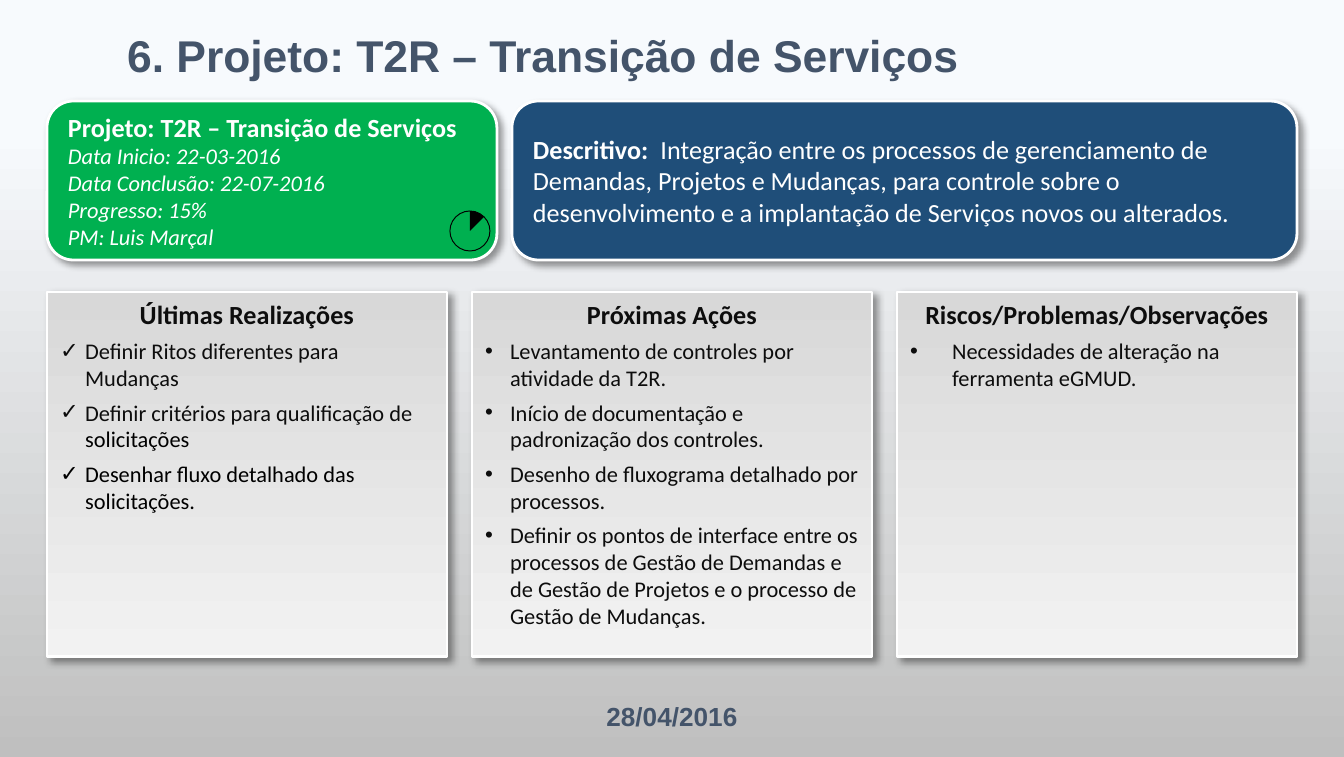
from lxml.etree import SubElement
from pptx import Presentation
from pptx.dml.color import RGBColor
from pptx.enum.shapes import MSO_SHAPE as Preset
from pptx.enum.text import MSO_ANCHOR as Anchor, MSO_AUTO_SIZE as AutoSize, PP_ALIGN as Align
from pptx.oxml.ns import qn
from pptx.util import Emu, Pt

EMU_PER_PX = 914400 / 134.4
WHITE, BLACK, INK, SLATE = "FFFFFF", "000000", "0D0D0D", "44546A"
GREEN, NAVY = "00B050", "1F4E79"

PANELS = [
    ("Últimas Realizações", "✓", 25, [
        [("Definir Ritos diferentes para Mudanças", INK)],
        [("Definir critérios para qualificação de ", INK), ("solicitações", BLACK)],
        [("Desenhar fluxo detalhado das solicitações.", BLACK)],
    ]),
    ("Próximas Ações", "•", 25, [
        [("Levantamento de controles por atividade da T2R.", INK)],
        [("Início de documentação e padronização dos controles.", INK)],
        [("Desenho de fluxograma detalhado por processos.", INK)],
        [("Definir os pontos de interface entre os processos de Gestão de Demandas "
          "e de Gestão de Projetos e o processo de Gestão de Mudanças.", INK)],
    ]),
    ("Riscos/Problemas/Observações", "•", 42, [
        [("Necessidades de alteração na ferramenta eGMUD.", INK)],
    ]),
]


def px(length):
    return Emu(round(length * EMU_PER_PX))


def color(hex_text):
    return RGBColor.from_string(hex_text)


def write(paragraph, text, size=12, font="Calibri", ink=WHITE, bold=False, italic=False):
    run = paragraph.add_run()
    run.text = text
    run.font.size = Pt(size)
    run.font.name = font
    run.font.color.rgb = color(ink)
    run.font.bold = bold
    run.font.italic = italic


def fill_gradient(fill, *stops):
    fill.gradient()
    fill.gradient_angle = 270
    for stop, (position, shade) in zip(fill.gradient_stops, stops):
        stop.position = position
        stop.color.rgb = color(shade)


def add_preset(slide, preset, box, line=None, width=1.5):
    shape = slide.shapes.add_shape(preset, *map(px, box))
    shape.shadow.inherit = False
    if line:
        shape.line.color.rgb = color(line)
        shape.line.width = Pt(width)
    else:
        shape.line.fill.background()
    return shape


def cast_shadow(shape):
    effects = shape._element.spPr.find(qn("a:effectLst"))
    shadow = SubElement(effects, qn("a:outerShdw"), blurRad=str(Pt(4)), dist=str(Pt(3)),
                        dir="2700000", algn="tl", rotWithShape="0")
    black = SubElement(shadow, qn("a:srgbClr"), val=BLACK)
    SubElement(black, qn("a:alpha"), val="40000")


def add_card(slide, box, fill):
    card = add_preset(slide, Preset.ROUNDED_RECTANGLE, box, WHITE)
    card.fill.solid()
    card.fill.fore_color.rgb = color(fill)
    cast_shadow(card)
    frame = card.text_frame
    frame.word_wrap = True
    frame.vertical_anchor = Anchor.MIDDLE
    frame.paragraphs[0].alignment = Align.LEFT
    return frame


def set_bullet(paragraph, mark, indent):
    properties = paragraph._p.get_or_add_pPr()
    properties.set("marL", str(px(indent)))
    properties.set("indent", str(-px(indent)))
    SubElement(properties, qn("a:buFont"), typeface="Arial")
    SubElement(properties, qn("a:buChar"), char=mark)
    paragraph.font.size = Pt(12)


def add_panel(slide, box, heading, mark, indent, items):
    panel = add_preset(slide, Preset.RECTANGLE, box, WHITE)
    fill_gradient(panel.fill, (0, "D8D8D8"), (1, "F2F2F2"))
    cast_shadow(panel)
    frame = panel.text_frame
    frame.word_wrap = True
    frame.vertical_anchor = Anchor.TOP
    first = frame.paragraphs[0]
    first.alignment = Align.CENTER
    first.space_after = Pt(2)
    write(first, heading, size=14, ink=INK, bold=True)
    for runs in items:
        item = frame.add_paragraph()
        item.alignment = Align.LEFT
        item.space_before = item.space_after = Pt(2)
        set_bullet(item, mark, indent)
        for text, ink in runs:
            write(item, text, ink=ink)


def add_progress_dial(slide, box):
    ring = add_preset(slide, Preset.OVAL, box, BLACK, 0.5)
    ring.fill.background()
    wedge = add_preset(slide, Preset.PIE, box)
    wedge.fill.solid()
    wedge.fill.fore_color.rgb = color(BLACK)
    wedge.adjustments[0] = 270 * 0.6
    wedge.adjustments[1] = 315 * 0.6


def set_banner(shape, box, text, size):
    shape.left, shape.top, shape.width, shape.height = map(px, box)
    frame = shape.text_frame
    frame.word_wrap = True
    frame.auto_size = AutoSize.NONE
    frame.vertical_anchor = Anchor.MIDDLE
    frame.paragraphs[0].alignment = Align.CENTER
    write(frame.paragraphs[0], text, size=size, font="Arial", ink=SLATE, bold=True)


def main():
    deck = Presentation()
    deck.slide_width, deck.slide_height = px(1344), px(757)
    slide = deck.slides.add_slide(deck.slide_layouts[5])
    fill_gradient(slide.background.fill, (0.17, "F7FAFD"), (1, "BFBFBF"))

    set_banner(slide.shapes.title, (83, 14, 919, 82),
               "6. Projeto: T2R – Transição de Serviços", 23.8)
    date_box = slide.shapes.add_textbox(0, 0, 0, 0)
    set_banner(date_box, (0, 675, 1344, 82), "28/04/2016", 14)

    summary = add_card(slide, (47, 101, 450, 159), GREEN)
    write(summary.paragraphs[0], "Projeto: T2R – Transição de Serviços", size=14, bold=True)
    for detail in ("Data Inicio: 22-03-2016", "Data Conclusão: 22-07-2016",
                   "Progresso: 15%", "PM: Luis Marçal"):
        line = summary.add_paragraph()
        line.alignment = Align.LEFT
        write(line, detail, italic=True)

    description = add_card(slide, (512, 101, 785, 159), NAVY).paragraphs[0]
    write(description, "Descritivo:  ", size=14, bold=True)
    write(description, "Integração entre os processos de gerenciamento de Demandas, "
          "Projetos e Mudanças, para controle sobre o desenvolvimento e a implantação "
          "de Serviços novos ou alterados.", size=14)

    for column, panel in enumerate(PANELS):
        add_panel(slide, (47 + 425 * column, 292, 400, 365), *panel)
    add_progress_dial(slide, (450, 211, 40, 40))
    deck.save("out.pptx")


if __name__ == "__main__":
    main()
